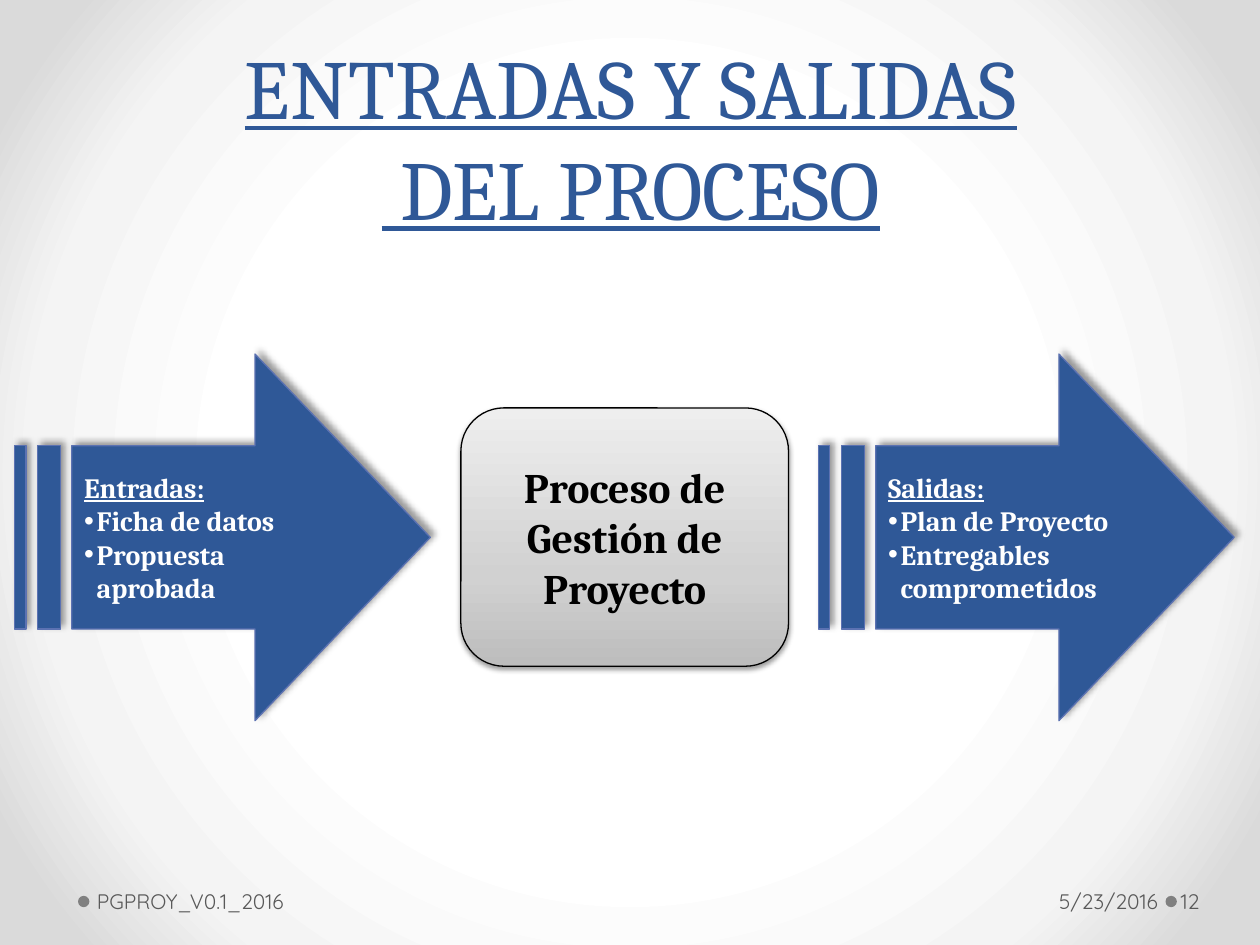
from lxml.etree import SubElement
from pptx import Presentation
from pptx.dml.color import RGBColor
from pptx.enum.shapes import MSO_SHAPE as Preset
from pptx.enum.text import MSO_ANCHOR as Anchor, PP_ALIGN as Align
from pptx.oxml.ns import qn
from pptx.util import Pt


def color(value):
    return RGBColor.from_string(value)


def add_node(parent, tag, **attributes):
    return SubElement(parent, qn(tag), {key: str(value) for key, value in attributes.items()})


def set_gradient(fill, owner, stops):
    fill.gradient()
    gradient = next(owner.iter(qn("a:gradFill")))
    gradient.clear()
    stop_list = add_node(gradient, "a:gsLst")
    for position, value in stops:
        stop = add_node(stop_list, "a:gs", pos=position * 1000)
        add_node(stop, "a:srgbClr", val=value)
    return gradient


class ProcessSlide:
    serif = "Cambria"
    sans = "Quicksand"
    blue = "2F5897"
    gray = "595959"

    def __init__(self, deck):
        self.slide = deck.slides.add_slide(deck.slide_layouts[6])

    def background(self, stops):
        gradient = set_gradient(self.slide.background.fill, self.slide.element, stops)
        center = add_node(gradient, "a:path", path="circle")
        add_node(center, "a:fillToRect", l=50000, t=50000, r=50000, b=50000)

    def set_text(self, frame, text, size, value, font, align=Align.LEFT, anchor=Anchor.MIDDLE,
                 bold=False, underline=False):
        frame.word_wrap = True
        frame.vertical_anchor = anchor
        frame.text = text
        for paragraph in frame.paragraphs:
            paragraph.alignment = align
            for run in paragraph.runs:
                run.font.size = Pt(size)
                run.font.name = font
                run.font.bold = bold
                run.font.underline = underline
                run.font.color.rgb = color(value)

    def label(self, box, text, size, value, font, insets=(7.2, 7.2), **style):
        frame = self.slide.shapes.add_textbox(*map(Pt, box)).text_frame
        frame.margin_left, frame.margin_right = map(Pt, insets)
        self.set_text(frame, text, size, value, font, **style)

    def footer(self, left, width, text, insets, align=Align.LEFT):
        self.label((left, 500.4, width, 28.8), text, 12, self.gray, self.sans, insets, align=align)

    def shape(self, preset, box, fill=None, line=None):
        shape = self.slide.shapes.add_shape(preset, *map(Pt, box))
        shape.shadow.inherit = False
        if fill:
            shape.fill.solid()
            shape.fill.fore_color.rgb = color(fill)
        if line:
            shape.line.color.rgb = color(line)
            shape.line.width = Pt(0.75)
        else:
            shape.line.fill.background()
        return shape

    def shadow(self, shape, opacity, blur, distance, angle):
        effects = next(shape.element.iter(qn("a:effectLst")))
        outer = add_node(effects, "a:outerShdw", blurRad=Pt(blur), dist=Pt(distance),
                         dir=angle * 60000, algn="ctr", rotWithShape=0)
        black = add_node(outer, "a:srgbClr", val="000000")
        add_node(black, "a:alpha", val=opacity * 1000)

    def dot(self, left):
        self.shape(Preset.OVAL, (left, 511.9, 6.5, 6.5), "808080")

    def arrow(self, left, heading, items):
        arrow = self.shape(Preset.STRIPED_RIGHT_ARROW, (left, 202.3, 237.6, 209.5),
                           self.blue, "5C72B2")
        arrow.adjustments[0] = 0.5
        arrow.adjustments[1] = 0.478
        self.shadow(arrow, 40, 4, 3, 315)
        self.set_text(arrow.text_frame, "\n".join([heading, *items]), 16, "FFFFFF",
                      self.serif, bold=True)
        first, *bulleted = arrow.text_frame.paragraphs
        first.runs[0].font.underline = True
        for item in bulleted:
            properties = item._p.get_or_add_pPr()
            properties.set("marL", str(Pt(7.2)))
            properties.set("indent", str(Pt(-7.2)))
            add_node(properties, "a:buFont", typeface="Arial")
            add_node(properties, "a:buChar", char="•")

    def process(self, box, text):
        process = self.shape(Preset.ROUNDED_RECTANGLE, box, line="000000")
        gradient = set_gradient(process.fill, process.element,
                                [(0, "BDBDBD"), (35, "D1D1D1"), (100, "EEEEEE")])
        add_node(gradient, "a:lin", ang=270 * 60000, scaled=0)
        self.shadow(process, 38, 3.1, 1.6, 90)
        self.set_text(process.text_frame, text, 24, "000000", self.serif,
                      align=Align.CENTER, bold=True)


deck = Presentation()
deck.slide_width, deck.slide_height = Pt(720), Pt(540)
page = ProcessSlide(deck)
page.background([(50, "FFFFFF"), (76, "F4F4F4"), (92, "DADADA")])

for dot_left in (666, 44.6):
    page.dot(dot_left)
page.footer(672.5, 43.9, "12", (2.2, 3.6))

page.arrow(8.3, "Entradas:", ["Ficha de datos", "Propuesta aprobada"])
page.arrow(467.7, "Salidas:", ["Plan de Proyecto", "Entregables comprometidos"])
page.process((263.4, 233.1, 187.2, 147.6), "Proceso de Gestión de Proyecto")

page.label((20.2, 13.7, 680.4, 125.3), "ENTRADAS Y SALIDAS\v DEL PROCESO", 48, page.blue,
           page.serif, align=Align.CENTER, anchor=Anchor.BOTTOM, underline=True)
page.footer(501.1, 164.2, "5/23/2016", (7.2, 3.6), Align.RIGHT)
page.footer(51.8, 285.1, "PGPROY_V0.1_2016", (3.6, 7.2))

deck.save("out.pptx")
